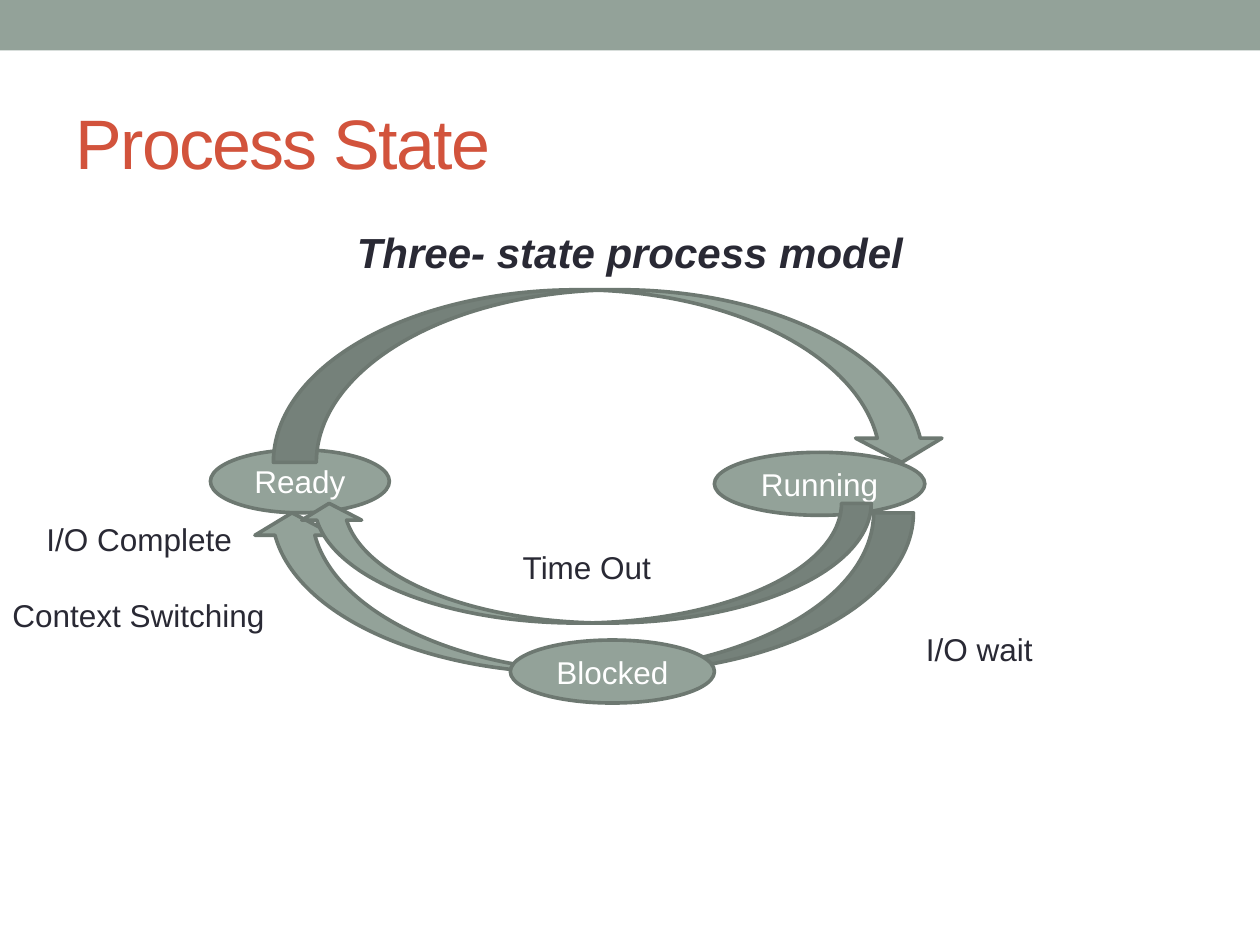
from pptx import Presentation
from pptx.dml.color import RGBColor
from pptx.enum.shapes import MSO_SHAPE
from pptx.enum.text import MSO_ANCHOR, MSO_AUTO_SIZE, PP_ALIGN
from pptx.oxml.ns import qn
from pptx.util import Inches, Pt

SAGE, EDGE, RUST, INK, WHITE = "93A299", "6D7871", "D2533C", "292934", "FFFFFF"
TITLE = "Process State"
MODEL = "Three- state process model"
STATES = [
    ("Ready", (1.67, 3.57, 1.42, 0.5)),
    ("Running", (5.67, 3.59, 1.67, 0.5)),
]
ARROWS = [
    ("flipV", (4.15, 0.32, 1.37, 5.33)),
    ("flipH", (3.99, 2.08, 1.27, 5.25)),
    ("flipH", (4.17, 2.2, 0.95, 4.54)),
]
BLOCKED = ("Blocked", (4.05, 5.08, 1.62, 0.5))
LABELS = [
    ("I/O wait", (7.25, 4.95, 1.75, 0.4)),
    ("Time Out", (4.05, 4.3, 1.75, 0.4)),
    ("I/O Complete", (0.27, 4.08, 1.75, 0.4)),
    ("Context Switching", (0, 4.68, 2.64, 0.4)),
]


def paint(target, color):
    target.rgb = RGBColor.from_string(color)


def write(shape, text, size, color, align=PP_ALIGN.LEFT, anchor=MSO_ANCHOR.TOP):
    frame = shape.text_frame
    frame.text = text
    frame.word_wrap = True
    frame.auto_size = MSO_AUTO_SIZE.NONE
    frame.vertical_anchor = anchor
    para = frame.paragraphs[0]
    para.alignment = align
    font = para.runs[0].font
    font.name, font.size = "Arial", Pt(size)
    paint(font.color, color)
    return para


def draw(slide, kind, box, edge=EDGE):
    shape = slide.shapes.add_shape(kind, *map(Inches, box))
    shape.shadow.inherit = False
    shape.fill.solid()
    paint(shape.fill.fore_color, SAGE)
    if edge:
        paint(shape.line.color, edge)
        shape.line.width = Pt(2.08)
    else:
        shape.line.fill.background()
    return shape


def state(slide, text, box):
    oval = draw(slide, MSO_SHAPE.OVAL, box)
    write(oval, text, 18, WHITE, PP_ALIGN.CENTER, MSO_ANCHOR.MIDDLE)


def arrow(slide, flip, box):
    shape = draw(slide, MSO_SHAPE.CURVED_RIGHT_ARROW, box)
    shape.rotation = 90
    for index, value in enumerate((0.249, 0.5, 0.14)):
        shape.adjustments[index] = value
    shape._element.spPr.find(qn("a:xfrm")).set(flip, "1")


def label(slide, text, box, size=18, align=PP_ALIGN.LEFT):
    area = slide.shapes.add_textbox(*map(Inches, box))
    return write(area, text, size, INK, align)


def main():
    """Build the three-state process model slide."""
    deck = Presentation()
    deck.slide_width, deck.slide_height = Inches(10), Inches(7.5)
    slide = deck.slides.add_slide(deck.slide_layouts[5])
    draw(slide, MSO_SHAPE.RECTANGLE, (0, 0, 10, 0.4), None)

    title = slide.shapes.title
    title.left, title.top = Inches(0.5), Inches(0.58)
    title.width, title.height = Inches(9), Inches(1.08)
    head = write(title, TITLE, 40, RUST, anchor=MSO_ANCHOR.MIDDLE)
    head.runs[0].font._element.set("spc", "-100")

    model = label(slide, MODEL, (0.5, 1.75, 9, 5.33), 24, PP_ALIGN.CENTER)
    model.space_before = Pt(5)
    model.runs[0].font.bold = model.runs[0].font.italic = True

    for text, box in STATES:
        state(slide, text, box)
    for flip, box in ARROWS:
        arrow(slide, flip, box)
    state(slide, *BLOCKED)
    for text, box in LABELS:
        label(slide, text, box)
    deck.save("out.pptx")


if __name__ == "__main__":
    main()
